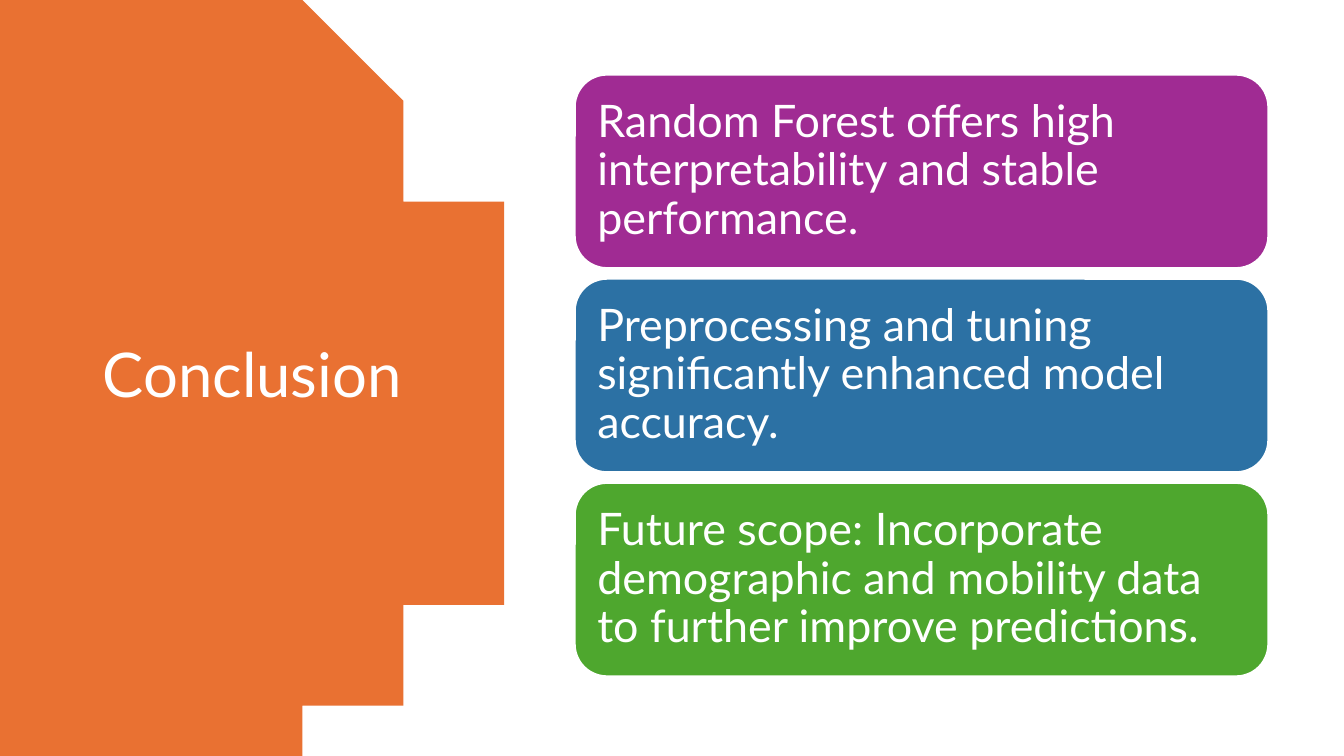
import math
from dataclasses import dataclass

from pptx import Presentation
from pptx import util as u
from pptx.dml.color import RGBColor
from pptx.enum import shapes, text


@dataclass(frozen=True)
class Theme:
    width: float = 13.33
    height: float = 7.5
    font: str = "Lato"
    title_size: int = 44
    card_size: int = 32
    white: str = "FFFFFF"
    orange: str = "E97132"
    cards: tuple = ("A02B93", "2C71A4", "4EA72E")


THEME = Theme()
CONCLUSIONS = (
    "Random Forest offers high interpretability and stable performance.",
    "Preprocessing and tuning significantly enhanced model accuracy.",
    "Future scope: Incorporate demographic and mobility data to further improve predictions.",
)


def paint(shape, color):
    shape.shadow.inherit = False
    shape.fill.solid()
    shape.fill.fore_color.rgb = RGBColor.from_string(color)


def write(shape, words, size, inset):
    frame = shape.text_frame
    frame.text = words
    margins = {f"margin_{side}": u.Inches(inset) for side in ("left", "right")}
    layout = {
        "word_wrap": True,
        "auto_size": text.MSO_AUTO_SIZE.NONE,
        "vertical_anchor": text.MSO_ANCHOR.MIDDLE,
        **margins,
    }
    for name, value in layout.items():
        setattr(frame, name, value)
    para = frame.paragraphs[0]
    para.alignment = text.PP_ALIGN.LEFT
    para.line_spacing = 0.9
    font = para.runs[0].font
    for name, value in {"name": THEME.font, "size": u.Pt(size)}.items():
        setattr(font, name, value)
    font.color.rgb = RGBColor.from_string(THEME.white)


def add_side_disc(page, center_x=0.53, radius=4.4, steps=120):
    """Draw a circle cut off by the left, top and bottom slide edges."""
    middle = THEME.height / 2
    limit = math.asin(middle / radius)
    angles = [limit * (2 * step / steps - 1) for step in range(steps + 1)]
    arc = [(center_x + radius * math.cos(a), middle + radius * math.sin(a)) for a in angles]
    outline = page.shapes.build_freeform(0, 0, scale=u.Inches(1))
    outline.add_line_segments(arc + [(0, THEME.height)], close=True)
    disc = outline.convert_to_shape()
    paint(disc, THEME.orange)
    disc.line.fill.background()


def place_title(page, words):
    title = page.shapes.title
    bounds = {"left": 0.92, "top": 0.7, "width": 3.23, "height": 6.09}
    for name, value in bounds.items():
        setattr(title, name, u.Inches(value))
    write(title, words, THEME.title_size, 0.1)
    title.element.getparent().append(title.element)  # in front of the disc


def add_card(page, row, words, color):
    left, top, width, height, pitch = 5.7, 0.74, 6.88, 1.92, 2.025
    card = page.shapes.add_shape(
        shapes.MSO_SHAPE.ROUNDED_RECTANGLE,
        *map(u.Inches, (left, top + row * pitch, width, height)),
    )
    paint(card, color)
    card.line.color.rgb = RGBColor.from_string(THEME.white)
    card.line.width = u.Pt(1.5)
    write(card, words, THEME.card_size, 0.13)


def main():
    deck = Presentation()
    deck.slide_width, deck.slide_height = u.Inches(THEME.width), u.Inches(THEME.height)
    page = deck.slides.add_slide(deck.slide_layouts.get_by_name("Title Only"))
    add_side_disc(page)
    place_title(page, "Conclusion")
    for row, (words, color) in enumerate(zip(CONCLUSIONS, THEME.cards)):
        add_card(page, row, words, color)
    deck.save("out.pptx")


if __name__ == "__main__":
    main()
